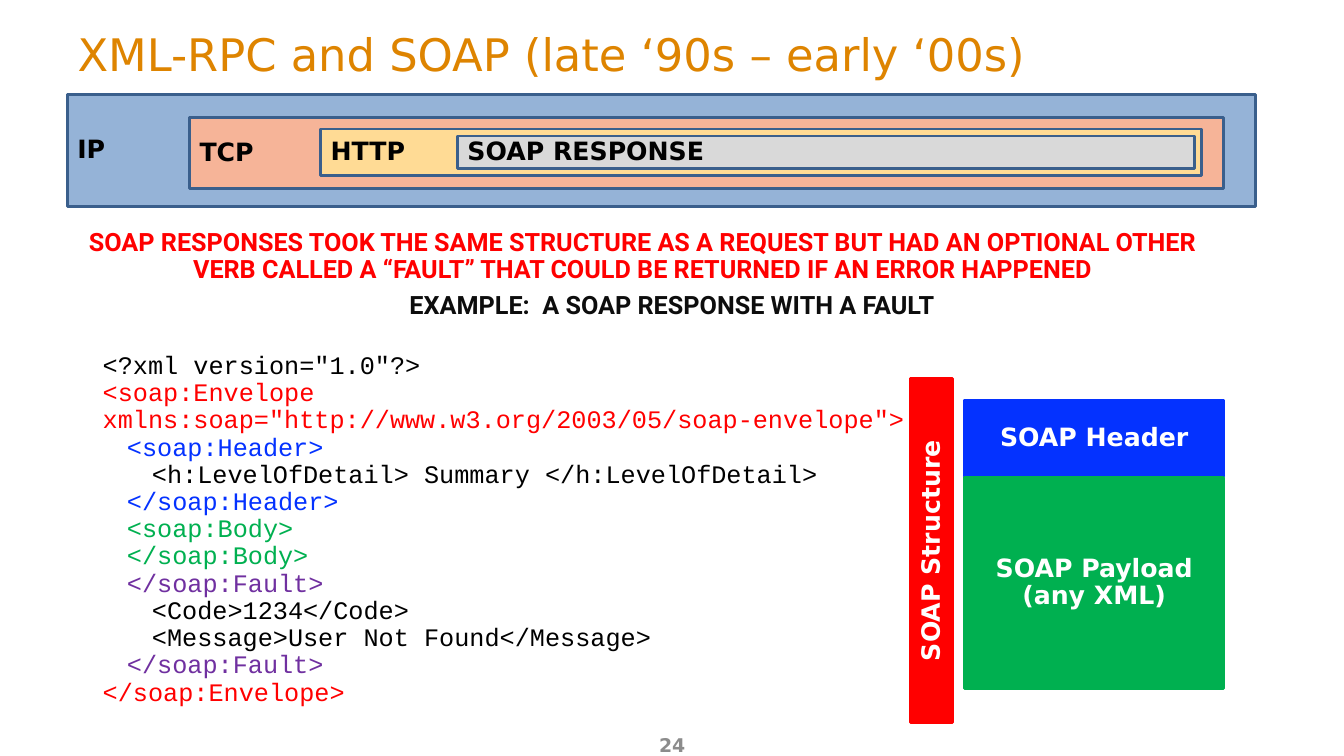
from lxml.etree import SubElement
from pptx import Presentation
from pptx.dml.color import RGBColor
from pptx.enum.shapes import MSO_SHAPE
from pptx.enum.text import MSO_ANCHOR, MSO_AUTO_SIZE, PP_ALIGN
from pptx.oxml.ns import qn
from pptx.util import Cm, Pt

BLACK = RGBColor(0x00, 0x00, 0x00)
INK = RGBColor(0x0D, 0x0D, 0x0D)
WHITE = RGBColor(0xFF, 0xFF, 0xFF)
GREY = RGBColor(0x8C, 0x8C, 0x8C)
ORANGE = RGBColor(0xDE, 0x84, 0x00)
RED = RGBColor(0xFF, 0x00, 0x00)
BLUE = RGBColor(0x04, 0x32, 0xFF)
GREEN = RGBColor(0x00, 0xB0, 0x50)
PURPLE = RGBColor(0x70, 0x30, 0xA0)
OUTLINE = RGBColor(0x3A, 0x5F, 0x8C)
IP_BLUE = RGBColor(0x95, 0xB3, 0xD7)
TCP_SALMON = RGBColor(0xF6, 0xB4, 0x98)
HTTP_YELLOW = RGBColor(0xFF, 0xDB, 0x95)
SOAP_GREY = RGBColor(0xD9, 0xD9, 0xD9)

SANS, HEADLINE, MONO = "DejaVu Sans", "Roboto", "Courier New"

LAYERS = [
    ("IP", IP_BLUE, (1.7, 2.39, 29.95, 2.82)),
    ("TCP", TCP_SALMON, (4.78, 2.97, 26.06, 1.78)),
    ("HTTP", HTTP_YELLOW, (8.08, 3.25, 22.2, 1.17)),
    ("SOAP RESPONSE", SOAP_GREY, (11.53, 3.43, 18.57, 0.81)),
]

STRUCTURE = [
    (["SOAP Structure"], RED, (19.15, 13.34, 8.66, 1.07), 270),
    (["SOAP Header"], BLUE, (24.31, 10.08, 6.53, 1.93), 0),
    (["SOAP Payload", "(any XML)"], GREEN, (24.31, 12.04, 6.53, 5.31), 0),
]

CODE_TABS = (0.61, 1.24, 1.75)
CODE = [
    (0, '<?xml version="1.0"?>', BLACK),
    (0, '<soap:Envelope xmlns:soap="http://www.w3.org/2003/05/soap-envelope">', RED),
    (1, "<soap:Header>", BLUE),
    (2, "<h:LevelOfDetail> Summary </h:LevelOfDetail>", BLACK),
    (1, "</soap:Header>", BLUE),
    (1, "<soap:Body>", GREEN),
    (1, "</soap:Body>", GREEN),
    (1, "</soap:Fault>", PURPLE),
    (2, "<Code>1234</Code>", BLACK),
    (2, "<Message>User Not Found</Message>", BLACK),
    (1, "</soap:Fault>", PURPLE),
    (0, "</soap:Envelope>", RED),
]


class SlideBuilder:
    """Holds the text style and the current page, and adds elements to it."""

    def __init__(self, page, size=18, spacing=0.9):
        self.page = page
        self.size = size
        self.spacing = spacing

    def add_span(self, para, text, color, font=SANS, size=None, bold=True):
        """Add one formatted run to a paragraph."""
        span = para.add_run()
        span.text = text
        span.font.name = font
        span.font.size = Pt(size or self.size)
        span.font.bold = bold
        span.font.color.rgb = color

    def title(self, text, place):
        """Place and fill the title placeholder."""
        box = self.page.shapes.title
        box.left, box.top, box.width, box.height = map(Cm, place)
        frame = box.text_frame
        frame.word_wrap = True
        frame.auto_size = MSO_AUTO_SIZE.NONE
        frame.vertical_anchor = MSO_ANCHOR.MIDDLE
        para = frame.paragraphs[0]
        para.alignment = PP_ALIGN.LEFT
        self.add_span(para, text, ORANGE, size=32, bold=False)

    def text_box(self, place):
        """Add an empty wrapping text box and return its frame."""
        frame = self.page.shapes.add_textbox(*map(Cm, place)).text_frame
        frame.word_wrap = True
        frame.auto_size = MSO_AUTO_SIZE.SHAPE_TO_FIT_TEXT
        return frame

    def caption(self, text, place, color):
        """Add a centred headline."""
        para = self.text_box(place).paragraphs[0]
        para.alignment = PP_ALIGN.CENTER
        para.line_spacing = self.spacing
        self.add_span(para, text, color, HEADLINE)

    def page_number(self, text, place):
        """Add the page number at the foot of the page."""
        frame = self.text_box(place)
        frame.auto_size = MSO_AUTO_SIZE.NONE
        frame.vertical_anchor = MSO_ANCHOR.MIDDLE
        para = frame.paragraphs[0]
        para.alignment = PP_ALIGN.CENTER
        self.add_span(para, text, GREY, size=13.5)

    def block(self, lines, place, fill, outline, color, align, rotation=0):
        """Add a filled rectangle with a bold label."""
        box = self.page.shapes.add_shape(MSO_SHAPE.RECTANGLE, *map(Cm, place))
        box.rotation = rotation
        box.shadow.inherit = False
        box.fill.solid()
        box.fill.fore_color.rgb = fill
        box.line.color.rgb = outline
        box.line.width = Pt(2)
        frame = box.text_frame
        frame.word_wrap = True
        frame.vertical_anchor = MSO_ANCHOR.MIDDLE
        para = frame.paragraphs[0]
        para.alignment = align
        para.line_spacing = self.spacing
        for index, line in enumerate(lines):
            if index:
                para.add_line_break()
            self.add_span(para, line, color)

    def code(self, lines, place):
        """Add a listing indented with tab stops."""
        frame = self.text_box(place)
        for index, (depth, text, color) in enumerate(lines):
            para = frame.add_paragraph() if index else frame.paragraphs[0]
            stops = SubElement(para._p.get_or_add_pPr(), qn("a:tabLst"))
            for position in CODE_TABS:
                SubElement(stops, qn("a:tab"), pos=str(Cm(position)), algn="l")
            para.line_spacing = self.spacing
            self.add_span(para, "\t" * depth + text, color, MONO, bold=False)


def main():
    """Build the slide and save the deck."""
    deck = Presentation()
    deck.slide_width, deck.slide_height = Cm(33.87), Cm(19.05)
    builder = SlideBuilder(deck.slides.add_slide(deck.slide_layouts[5]))
    builder.page_number("24", (11.58, 18.26, 10.72, 1.02))
    builder.title("XML-RPC and SOAP (late ‘90s – early ‘00s)", (1.7, 0.38, 30.48, 1.93))
    for name, fill, place in LAYERS:
        builder.block([name], place, fill, OUTLINE, BLACK, PP_ALIGN.LEFT)
    builder.caption(
        "SOAP RESPONSES TOOK THE SAME STRUCTURE AS A REQUEST BUT HAD AN OPTIONAL OTHER "
        "VERB CALLED A “FAULT” THAT COULD BE RETURNED IF AN ERROR HAPPENED",
        (1.22, 5.66, 29.95, 1.65), RED)
    builder.code(CODE, (2.34, 8.76, 21.67, 8.56))
    for lines, fill, place, rotation in STRUCTURE:
        builder.block(lines, place, fill, fill, WHITE, PP_ALIGN.CENTER, rotation)
    builder.caption("EXAMPLE:  A SOAP RESPONSE WITH A FAULT", (1.96, 7.26, 29.95, 0.97), INK)
    deck.save("out.pptx")


if __name__ == "__main__":
    main()
